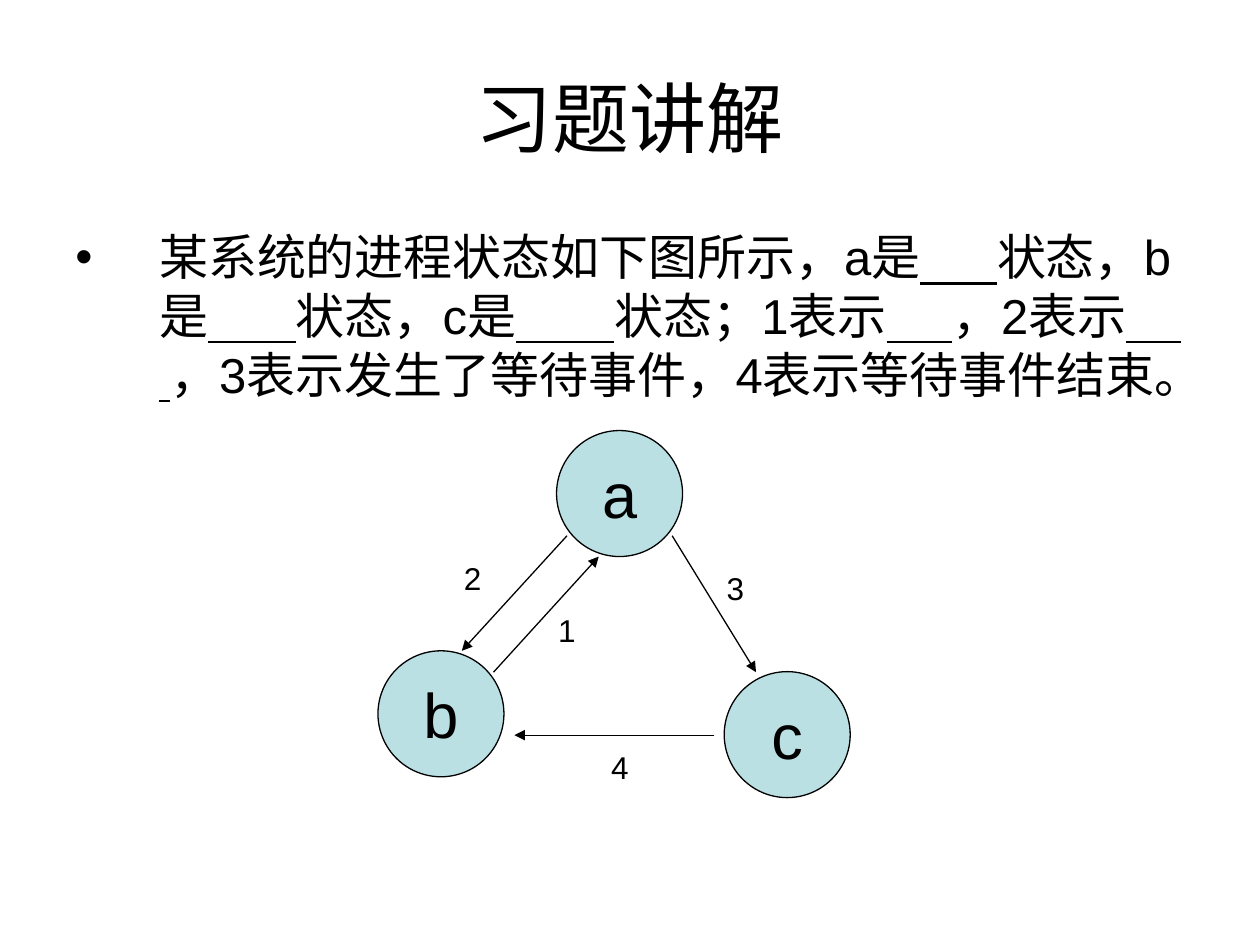
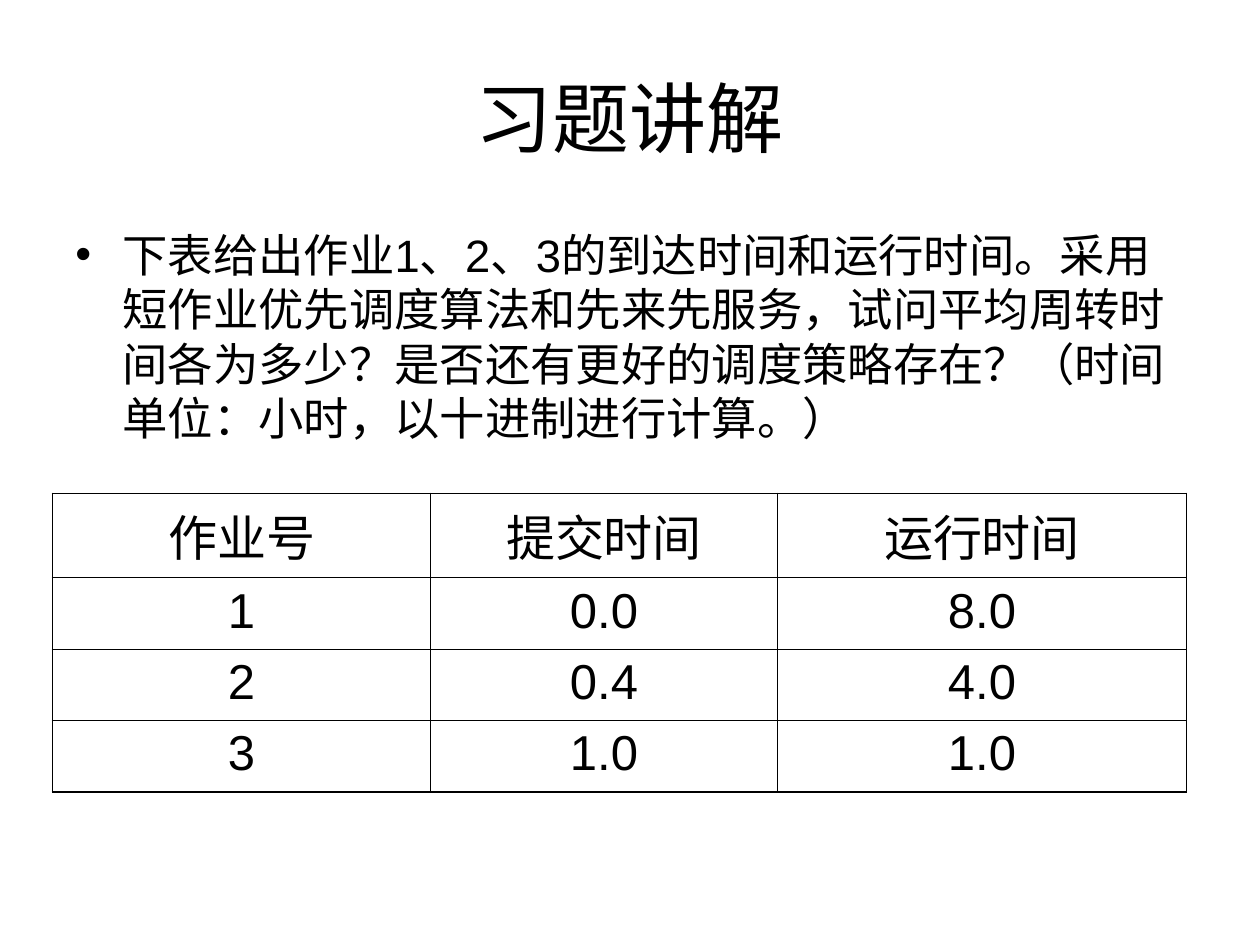
from lxml import etree
from pptx import Presentation
from pptx import util as u
from pptx.dml import color
from pptx.enum import shapes, text
from pptx.oxml import ns

FONT = "Arial"
BLACK = "000000"
CIRCLE_FILL = "BBE0E3"
DIAMETER = 2.54
LABEL_SIZE = 0.85
OUTER_BORDER, INNER_BORDER = 1.08, 0.45
TITLE = "习题讲解"

# Integers are the widths, in spaces, of the underlined answer blanks.
STATE_QUESTION = [
    "某系统的进程状态如下图所示，a是", 7, "状态，b是", 8, "状态，c是", 9,
    "状态；1表示", 6, "，2表示", 7,
    "，3表示发生了等待事件，4表示等待事件结束。",
]
SCHEDULE_QUESTION = [
    "下表给出作业1、2、3的到达时间和运行时间。采用短作业优先调度算法和先来先服务，"
    "试问平均周转时间各为多少？是否还有更好的调度策略存在？"
    "（时间单位：小时，以十进制进行计算。）"
]
STATES = {"c": (14.6, 13.54), "b": (7.62, 13.12), "a": (11.22, 8.68)}
TRANSITIONS = [
    # start, end, label, label corner
    ((9.95, 13.55), (12.07, 11.22), "1", (11.0, 12.28)),
    ((11.43, 10.8), (9.31, 13.12), "2", (9.1, 11.22)),
    ((13.55, 10.8), (15.24, 13.55), "3", (14.4, 11.43)),
    ((14.4, 14.82), (10.37, 14.82), "4", (12.07, 15.03)),
]
JOBS = [
    ["作业号", "提交时间", "运行时间"],
    ["1", "0.0", "8.0"],
    ["2", "0.4", "4.0"],
    ["3", "1.0", "1.0"],
]


def rgb(value):
    return color.RGBColor.from_string(value)


def add_xml(parent, tag, **attributes):
    return etree.SubElement(parent, ns.qn(tag), attributes)


def set_values(target, values):
    for name, value in values.items():
        setattr(target, name, value)


def add_run(paragraph, content, size, **formats):
    run = paragraph.add_run()
    run.text = content
    set_values(run.font, {"name": FONT, "size": u.Pt(size), **formats})
    run.font.color.rgb = rgb(BLACK)


def write_centred(frame, content, size, wrap):
    """Put one line of text in the middle of a frame."""
    set_values(frame, {"word_wrap": wrap,
                       "vertical_anchor": text.MSO_ANCHOR.MIDDLE})
    paragraph = frame.paragraphs[0]
    paragraph.alignment = text.PP_ALIGN.CENTER
    add_run(paragraph, content, size)


def add_box(slide, left, top, width, height):
    return slide.shapes.add_textbox(*map(u.Cm, (left, top, width, height)))


def add_title(slide):
    box = add_box(slide, 1.27, 0.76, 22.86, 3.18)
    write_centred(box.text_frame, TITLE, 44, wrap=True)


def add_question(slide, pieces, size, width, height, indent):
    """Add a bulleted question; integer pieces become underlined blanks."""
    frame = add_box(slide, 1.27, 4.45, width, height).text_frame
    frame.word_wrap = True
    paragraph = frame.paragraphs[0]
    properties = paragraph._p.get_or_add_pPr()
    properties.set("marL", str(u.Cm(indent)))
    properties.set("indent", str(-u.Cm(indent)))
    add_xml(add_xml(properties, "a:buClr"), "a:srgbClr", val=BLACK)
    add_xml(properties, "a:buFont", typeface=FONT)
    add_xml(properties, "a:buChar", char="•")
    for piece in pieces:
        if isinstance(piece, int):
            add_run(paragraph, " " * piece, size, underline=True)
        else:
            add_run(paragraph, piece, size)


def add_state(slide, name, left, top):
    circle = slide.shapes.add_shape(
        shapes.MSO_SHAPE.OVAL, *map(u.Cm, (left, top, DIAMETER, DIAMETER)))
    circle.shadow.inherit = False
    circle.fill.solid()
    circle.fill.fore_color.rgb = rgb(CIRCLE_FILL)
    circle.line.color.rgb = rgb(BLACK)
    circle.line.width = u.Pt(0.75)
    write_centred(circle.text_frame, name, 36, wrap=False)


def add_arrow(slide, start, end):
    arrow = slide.shapes.add_connector(
        shapes.MSO_CONNECTOR.STRAIGHT, *map(u.Cm, start + end))
    arrow.line.color.rgb = rgb(BLACK)
    arrow.line.width = u.Pt(0.75)
    add_xml(arrow.line._get_or_add_ln(), "a:tailEnd", type="triangle")
    add_xml(arrow._element.spPr, "a:effectLst")


def add_label(slide, content, left, top):
    box = add_box(slide, left, top, LABEL_SIZE, LABEL_SIZE)
    write_centred(box.text_frame, content, 18, wrap=False)


def set_borders(cell, widths):
    properties = cell._tc.get_or_add_tcPr()
    for side, width in widths.items():
        line = add_xml(properties, f"a:ln{side}", w=str(u.Pt(width)))
        add_xml(add_xml(line, "a:solidFill"), "a:srgbClr", val=BLACK)


def add_job_table(slide, rows, column_widths, row_heights):
    frame = slide.shapes.add_table(
        len(rows), len(column_widths), u.Cm(1.06), u.Cm(9.95),
        u.Cm(sum(column_widths)), u.Cm(sum(row_heights)))
    table = frame.table
    set_values(table, {"first_row": False, "horz_banding": False})
    for column, width in zip(table.columns, column_widths):
        column.width = u.Cm(width)
    last_row, last_column = len(rows) - 1, len(column_widths) - 1
    for i, values in enumerate(rows):
        table.rows[i].height = u.Cm(row_heights[i])
        for j, value in enumerate(values):
            cell = table.cell(i, j)
            outer = {"L": j == 0, "R": j == last_column,
                     "T": i == 0, "B": i == last_row}
            set_borders(cell, {side: OUTER_BORDER if edge else INNER_BORDER
                               for side, edge in outer.items()})
            cell.fill.background()
            paragraph = cell.text_frame.paragraphs[0]
            paragraph.alignment = text.PP_ALIGN.CENTER
            add_run(paragraph, value, 28)


def add_slide(presentation):
    slide = presentation.slides.add_slide(presentation.slide_layouts[6])
    add_title(slide)
    return slide


def build_state_slide(presentation):
    slide = add_slide(presentation)
    add_question(slide, STATE_QUESTION, 28, 22.86, 5.92, 1.69)
    for name, corner in STATES.items():
        add_state(slide, name, *corner)
    for start, end, label, corner in TRANSITIONS:
        add_arrow(slide, start, end)
        add_label(slide, label, *corner)


def build_schedule_slide(presentation):
    slide = add_slide(presentation)
    add_question(slide, SCHEDULE_QUESTION, 25.9, 23.06, 5.08, 0.95)
    add_job_table(slide, JOBS, [7.62, 6.99, 8.25], [1.69] + [1.44] * 3)


def main():
    presentation = Presentation()
    presentation.slide_width = u.Cm(25.4)
    presentation.slide_height = u.Cm(19.05)
    build_state_slide(presentation)
    build_schedule_slide(presentation)
    presentation.save("out.pptx")


if __name__ == "__main__":
    main()
